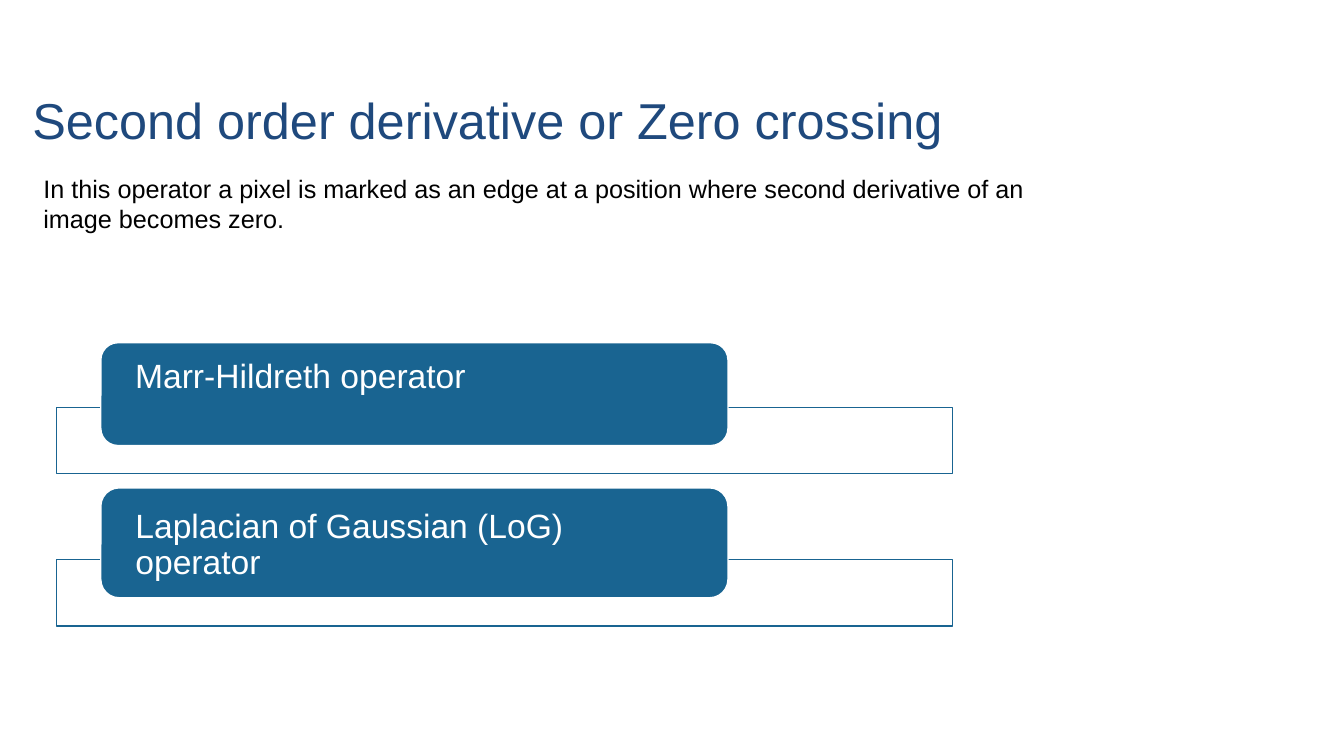
from dataclasses import dataclass

from lxml import etree
from pptx import Presentation
from pptx.dml.color import RGBColor
from pptx.enum.shapes import MSO_SHAPE
from pptx.enum.text import MSO_ANCHOR, MSO_AUTO_SIZE, PP_ALIGN
from pptx.oxml.ns import qn
from pptx.util import Inches, Pt

RECTANGLE, ROUNDED = MSO_SHAPE.RECTANGLE, MSO_SHAPE.ROUNDED_RECTANGLE
LEFT, TOP, NO_FIT = PP_ALIGN.LEFT, MSO_ANCHOR.TOP, MSO_AUTO_SIZE.NONE

# Content
TITLE = "Second order derivative or Zero crossing"
DEFINITION = ("In this operator a pixel is marked as an edge at a position "
              "where second derivative of an image becomes zero.")
# Operator name, label top, label height, space above the name
OPERATORS = [
    ("Marr-Hildreth operator", 3.4, 1.02, 0.12),
    ("Laplacian of Gaussian (LoG) operator", 4.84, 1.09, 0.16),
]


@dataclass(frozen=True)
class Theme:
    font: str = "Arial"
    title: RGBColor = RGBColor(0x1F, 0x49, 0x7D)
    text: RGBColor = RGBColor(0, 0, 0)
    accent: RGBColor = RGBColor(0x19, 0x64, 0x91)
    white: RGBColor = RGBColor(0xFF, 0xFF, 0xFF)
    title_size: int = 36
    body_size: int = 18
    label_size: int = 24


THEME = Theme()

# Layout
FRAME_LEFT, FRAME_WIDTH, FRAME_HEIGHT = 0.56, 8.89, 0.66
LABEL_LEFT, LABEL_WIDTH, LABEL_INSET = 1, 6.22, 0.29
FRAME_OVERHANG = 0.28  # frame bottom below label bottom


def write_text(shape, text, size, color):
    frame = shape.text_frame
    frame.text = text
    frame.word_wrap = True
    frame.auto_size = NO_FIT
    frame.vertical_anchor = TOP
    paragraph = frame.paragraphs[0]
    paragraph.alignment = LEFT
    paragraph.space_before = Pt(0)
    font = paragraph.runs[0].font
    font.name, font.size, font.color.rgb = THEME.font, Pt(size), color
    return paragraph


def place(shape, left, top, width, height):
    shape.left, shape.top = Inches(left), Inches(top)
    shape.width, shape.height = Inches(width), Inches(height)


def add_box(slide, kind, bounds, fill, line):
    shape = slide.shapes.add_shape(kind, *map(Inches, bounds))
    shape.shadow.inherit = False
    shape.fill.solid()
    shape.fill.fore_color.rgb = fill
    shape.line.color.rgb = line
    shape.line.width = Pt(1)
    return shape


def add_operator(slide, name, top, height, space_above):
    frame_top = top + height + FRAME_OVERHANG - FRAME_HEIGHT
    add_box(slide, RECTANGLE, (FRAME_LEFT, frame_top, FRAME_WIDTH, FRAME_HEIGHT),
            THEME.white, THEME.accent)
    label = add_box(slide, ROUNDED, (LABEL_LEFT, top, LABEL_WIDTH, height),
                    THEME.accent, THEME.white)
    paragraph = write_text(label, name, THEME.label_size, THEME.white)
    paragraph.line_spacing = 0.9
    frame = label.text_frame
    frame.margin_left = frame.margin_right = Inches(LABEL_INSET)
    frame.margin_top, frame.margin_bottom = Inches(space_above), 0


def main():
    presentation = Presentation()
    presentation.slide_width = Inches(13.33)
    presentation.slide_height = Inches(7.5)
    slide = presentation.slides.add_slide(presentation.slide_layouts[1])

    # Title and definition
    title, body = slide.placeholders
    place(title, 0.22, 0.83, 12.11, 0.71)
    write_text(title, TITLE, THEME.title_size, THEME.title)
    place(body, 0.33, 1.67, 10.22, 0.71)
    paragraph = write_text(body, DEFINITION, THEME.body_size, THEME.text)
    properties = paragraph._p.get_or_add_pPr()
    properties.set("marL", "0")
    properties.set("indent", "0")
    etree.SubElement(properties, qn("a:buNone"))

    # Operators
    for operator in OPERATORS:
        add_operator(slide, *operator)

    presentation.save("out.pptx")


if __name__ == "__main__":
    main()
